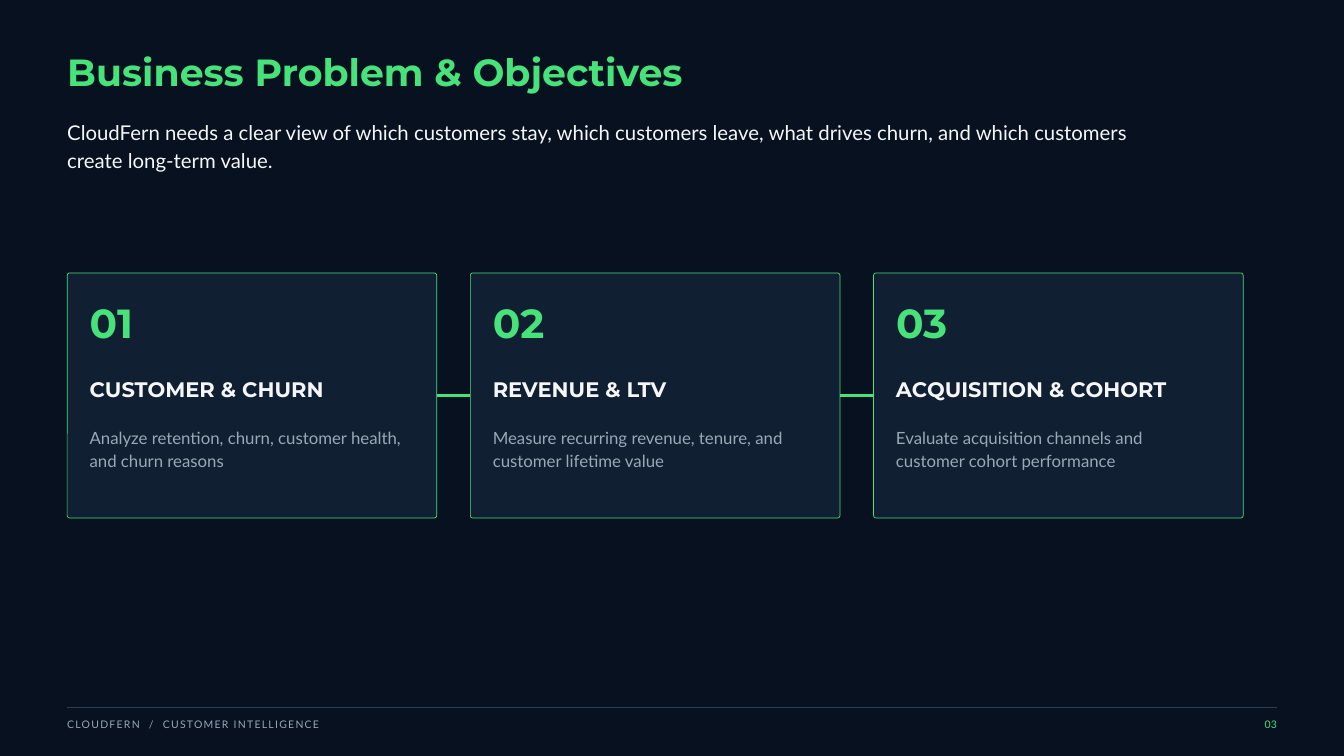
"""Build the business problem and objectives slide."""
from lxml import etree
from pptx import Presentation
from pptx.dml.color import RGBColor
from pptx.enum.shapes import MSO_CONNECTOR, MSO_SHAPE
from pptx.enum.text import MSO_AUTO_SIZE, PP_ALIGN
from pptx.oxml.ns import qn
from pptx.util import Pt

STRAIGHT = MSO_CONNECTOR.STRAIGHT
ROUNDED = MSO_SHAPE.ROUNDED_RECTANGLE
GROW = MSO_AUTO_SIZE.SHAPE_TO_FIT_TEXT
LEFT, RIGHT = PP_ALIGN.LEFT, PP_ALIGN.RIGHT

COLORS = {
    "background": "07111F",
    "card": "101F31",
    "green": "48E27B",
    "white": "F5F7FA",
    "gray": "9AA8B8",
    "rule": "24405A",
}
STYLES = {
    "title": ({"name": "Montserrat", "size": Pt(40.5), "bold": True}, "green", 43.7),
    "intro": ({"name": "Lato", "size": Pt(21.8)}, "white", 29.4),
    "number": ({"name": "Montserrat", "size": Pt(43.5), "bold": True}, "green", 43.5),
    "heading": ({"name": "Montserrat", "size": Pt(22.5), "bold": True}, "white", 25.9),
    "detail": ({"name": "Lato", "size": Pt(18)}, "gray", 24.3),
    "footer": ({"name": "Lato", "size": Pt(11.2)}, "gray", 15.7),
    "page": ({"name": "Lato", "size": Pt(11.2)}, "green", 15.7),
}
CARDS = [
    ("01", "CUSTOMER & CHURN",
     "Analyze retention, churn, customer health, and churn reasons"),
    ("02", "REVENUE & LTV",
     "Measure recurring revenue, tenure, and customer lifetime value"),
    ("03", "ACQUISITION & COHORT",
     "Evaluate acquisition channels and customer cohort performance"),
]
MARGIN = 72
CARD_TOP, CARD_WIDTH, CARD_HEIGHT, CARD_GAP = 292.5, 396, 262.5, 36
CARD_PADDING = 24


def color(name):
    """Return the named colour."""
    return RGBColor.from_string(COLORS[name])


def add_text(shapes, text, style, left, top, width, height, align=LEFT, spacing=0):
    """Add a text box without insets in one of the styles."""
    font_values, color_name, line_height = STYLES[style]
    box = shapes.add_textbox(Pt(left), Pt(top), Pt(width), Pt(height))
    frame_values = {"word_wrap": True, "auto_size": GROW, "margin_left": 0,
                    "margin_right": 0, "margin_top": 0, "margin_bottom": 0}
    for name, value in frame_values.items():
        setattr(box.text_frame, name, value)
    para = box.text_frame.paragraphs[0]
    para.alignment = align
    para.line_spacing = Pt(line_height)
    span = para.add_run()
    span.text = text
    for name, value in font_values.items():
        setattr(span.font, name, value)
    span.font.color.rgb = color(color_name)
    if spacing:
        span.font._element.set("spc", str(round(spacing * 100)))


def add_line(shapes, left, right, y, color_name, weight):
    """Add a horizontal line without a shadow."""
    line = shapes.add_connector(STRAIGHT, Pt(left), Pt(y), Pt(right), Pt(y))
    line.line.color.rgb = color(color_name)
    line.line.width = Pt(weight)
    etree.SubElement(line._element.spPr, qn("a:effectLst"))


def add_card(page, left, number, heading, detail):
    """Add a grouped card with its number, heading and detail."""
    shapes = page.shapes.add_group_shape().shapes
    card = shapes.add_shape(ROUNDED, Pt(left), Pt(CARD_TOP), Pt(CARD_WIDTH), Pt(CARD_HEIGHT))
    card.adjustments[0] = 0.01
    card.shadow.inherit = False
    card.fill.solid()
    card.fill.fore_color.rgb = color("card")
    card.line.color.rgb = color("green")
    card.line.width = Pt(0.75)
    text_left = left + CARD_PADDING
    add_text(shapes, number, "number", text_left, CARD_TOP + 35, 90, 47)
    add_text(shapes, heading, "heading", text_left, CARD_TOP + 111.5, 341, 26)
    add_text(shapes, detail, "detail", text_left, CARD_TOP + 163.5, 338, 47)


def add_cards(page):
    """Add the row of cards and the lines that join them."""
    for index, content in enumerate(CARDS):
        left = MARGIN + index * (CARD_WIDTH + CARD_GAP)
        if index:
            add_line(page.shapes, left - CARD_GAP, left,
                     CARD_TOP + CARD_HEIGHT / 2, "green", 2.25)
        add_card(page, left, *content)


def add_footer(page):
    """Add the grouped footer rule, label and page number."""
    shapes = page.shapes.add_group_shape().shapes
    add_line(shapes, MARGIN, 1440 - MARGIN, 757.5, "rule", 1)
    add_text(shapes, "CLOUDFERN  /  CUSTOMER INTELLIGENCE", "footer",
             MARGIN, 767, 525, 14.5, spacing=1.4)
    add_text(shapes, "03", "page", 1298, 767, 70, 14.5, align=RIGHT)


def main():
    """Build and save the deck."""
    deck = Presentation()
    deck.slide_width, deck.slide_height = Pt(1440), Pt(810)
    page = deck.slides.add_slide(deck.slide_layouts[6])
    page.background.fill.solid()
    page.background.fill.fore_color.rgb = color("background")
    add_text(page.shapes, "Business Problem & Objectives", "title", MARGIN, 57, 975, 44)
    add_text(page.shapes,
             "CloudFern needs a clear view of which customers stay, which customers leave, "
             "what drives churn, and which customers create long-term value.",
             "intro", MARGIN, 126, 1200, 58.5)
    add_cards(page)
    add_footer(page)
    deck.save("out.pptx")


if __name__ == "__main__":
    main()
